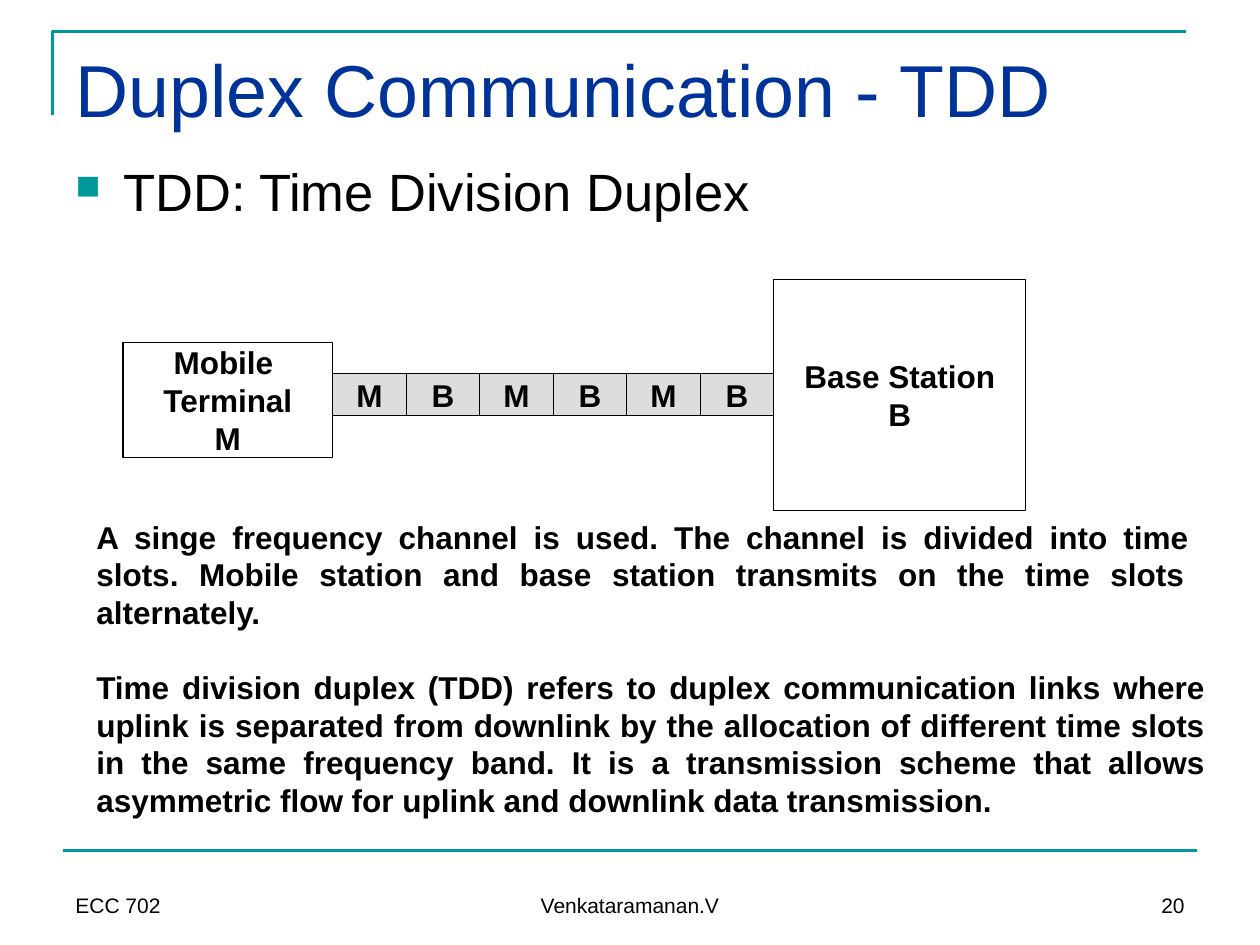
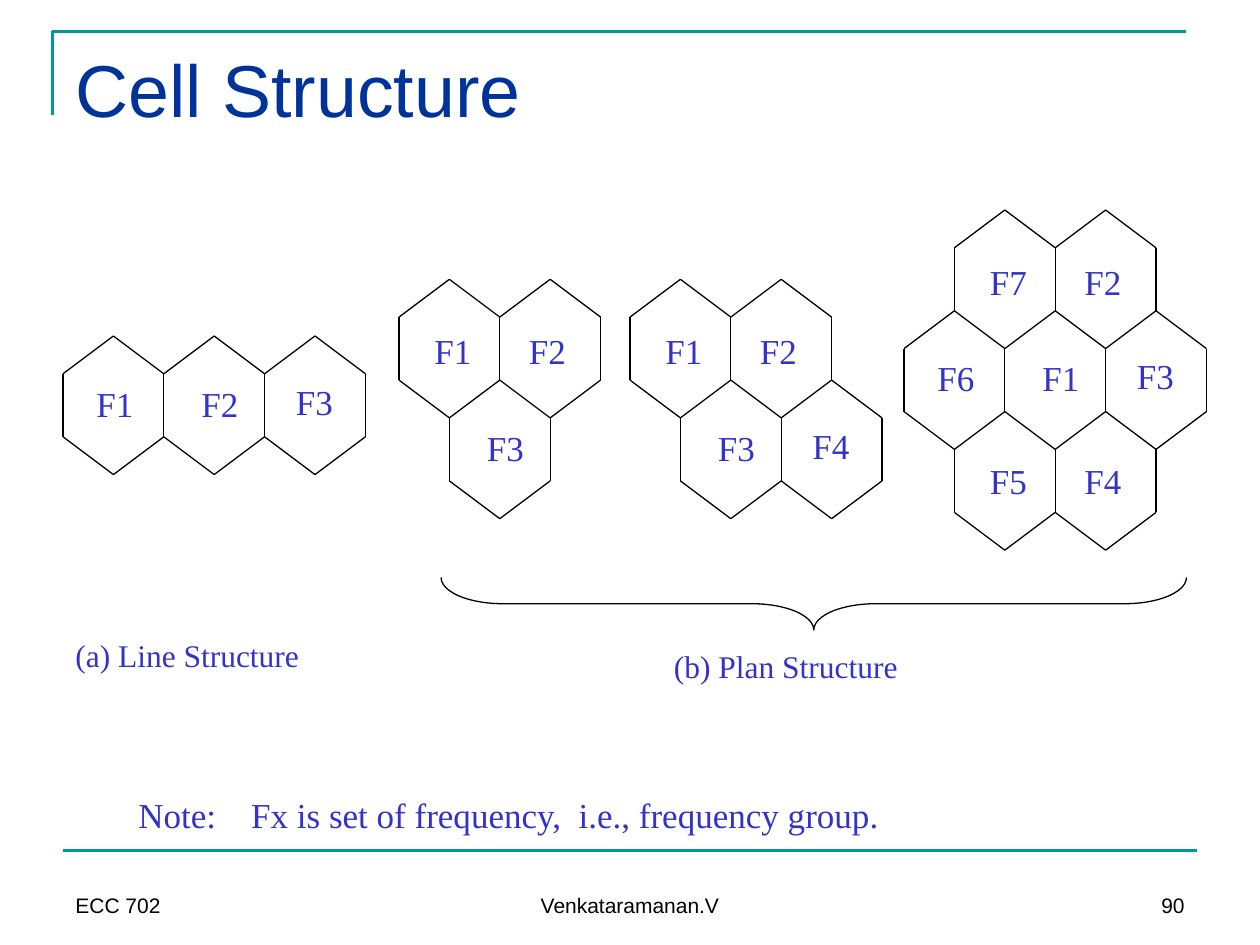
"""Build two lecture slides: time division duplex and cell structure."""
from dataclasses import dataclass

from lxml.etree import SubElement
from pptx import Presentation
from pptx.dml.color import RGBColor
from pptx.enum.shapes import MSO_CONNECTOR as Connector, MSO_SHAPE as Shape
from pptx.enum.text import MSO_ANCHOR as Anchor, PP_ALIGN as Align
from pptx.oxml.ns import qn
from pptx.util import Emu, Inches, Pt


@dataclass(frozen=True)
class Theme:
    sans: str = "Arial"
    serif: str = "Times New Roman"
    black: str = "000000"
    white: str = "FFFFFF"
    slot: str = "DDDDDD"
    teal: str = "009999"
    navy: str = "003399"
    violet: str = "3333CC"
    title: int = 42
    bullet: int = 30
    label: int = 20
    body: int = 18
    footer: int = 12
    frame_line: float = 1.5
    thin_line: float = 0.75


theme = Theme()
COLUMNS, ROWS = 120, 90
UNIT = Inches(10) // COLUMNS


def grid(*cells):
    """Turn grid columns and rows into slide lengths."""
    return [Emu(round(cell * UNIT)) for cell in cells]


def write(box, paragraphs, size, colour=theme.black, font=theme.sans, bold=False,
          align=Align.LEFT, anchor=Anchor.TOP, wrap=True, gap=0):
    """Fill a box with paragraphs, breaking lines at each newline."""
    frame = box.text_frame
    frame.word_wrap, frame.vertical_anchor = wrap, anchor
    for index, text in enumerate(paragraphs):
        para = frame.add_paragraph() if index else frame.paragraphs[0]
        para.alignment = align
        para.space_before = Pt(gap if index else 0)
        for number, line in enumerate(text.split("\n")):
            if number:
                para.add_line_break()
            span = para.add_run()
            span.text = line
            span.font.name, span.font.size, span.font.bold = font, Pt(size), bold
            span.font.color.rgb = RGBColor.from_string(colour)


deck = Presentation()
deck.slide_width, deck.slide_height = grid(COLUMNS, ROWS)
title_only = deck.slide_layouts[5]
pages, strokes = [], []

for heading, number in (("Duplex Communication - TDD", "20"), ("Cell Structure", "90")):
    page = deck.slides.add_slide(title_only)
    pages.append(page)
    builder = page.shapes.build_freeform(5, 11, scale=UNIT)
    builder.add_line_segments([(5, 3), (113, 3)], close=False)
    corner = builder.convert_to_shape()
    corner.shadow.inherit = False
    corner.fill.background()
    corner.line.color.rgb = RGBColor.from_string(theme.teal)
    corner.line.width = Pt(theme.frame_line)
    strokes.append((page, (6, 81, 114, 81), theme.teal, theme.frame_line))

    title = page.shapes.title
    title.left, title.top, title.width, title.height = grid(6, 3.6, 108, 15)
    write(title, [heading], theme.title, theme.navy)
    for left, width, text, align in ((6, 28, "ECC 702", Align.LEFT),
                                     (41, 38, "Venkataramanan.V", Align.CENTER),
                                     (86, 28, number, Align.RIGHT)):
        footer = page.shapes.add_textbox(*grid(left, 82, width, 6))
        write(footer, [text], theme.footer, align=align, anchor=Anchor.BOTTOM)

duplex, cells_page = pages

topic = duplex.shapes.add_textbox(*grid(6, 14.6, 108, 10))
write(topic, ["TDD: Time Division Duplex"], theme.bullet)
properties = topic.text_frame.paragraphs[0]._p.get_or_add_pPr()
properties.set("marL", str(Inches(0.38)))
properties.set("indent", str(-Inches(0.38)))
bullet_colour = SubElement(properties, qn("a:buClr"))
SubElement(bullet_colour, qn("a:srgbClr")).set("val", theme.teal)
SubElement(properties, qn("a:buSzPct")).set("val", "65000")
SubElement(properties, qn("a:buChar")).set("char", "■")

explanation = duplex.shapes.add_textbox(*grid(8, 48.7, 108, 34))
write(explanation, [
    "A singe frequency channel is used. The channel is divided into time \n"
    "slots. Mobile station and base station transmits on the time slots \n"
    "alternately. ",
    "Time division duplex (TDD) refers to duplex communication links where uplink is "
    "separated from downlink by the allocation of different time slots in the same "
    "frequency band. It is a transmission scheme that allows asymmetric flow for uplink "
    "and downlink data transmission.",
], theme.body, bold=True, align=Align.JUSTIFY, gap=21)

stations = [((73.7, 26.6, 24, 22), theme.white, ["Base Station", "B"]),
            ((11.7, 32.6, 20, 11), theme.white, ["Mobile \nTerminal", "M"])]
slots = [((31.7 + 7 * index, 35.6, 7, 4), theme.slot, [sender])
         for index, sender in enumerate("MBMBMB")]
for place, colour, lines in stations + slots:
    block = duplex.shapes.add_shape(Shape.RECTANGLE, *grid(*place))
    block.shadow.inherit = False
    block.fill.solid()
    block.fill.fore_color.rgb = RGBColor.from_string(colour)
    block.line.color.rgb = RGBColor.from_string(theme.black)
    block.line.width = Pt(theme.thin_line)
    write(block, lines, theme.body, bold=True, align=Align.CENTER,
          anchor=Anchor.MIDDLE, wrap=False)

HALF_CELL, STEP, ROW_STEPS = 4.8, 1.2, 8
HEXAGON = [(0, 3), (1, 0), (2, 3), (2, 8), (1, 11), (0, 8)]
clusters = [
    (6, 32, [("F1", 0, 0, 2, 3.8), ("F2", 2, 0, 2.4, 3.8), ("F3", 4, 0, 1.8, 3.6)]),
    (38, 26.6, [("F1", 0, 0, 2.2, 4.2), ("F2", 2, 0, 1.6, 4.2), ("F3", 1, 1, 2.4, 3.8)]),
    (60, 26.6, [("F1", 0, 0, 2.2, 4.2), ("F2", 2, 0, 1.6, 4.2), ("F3", 1, 1, 2.4, 3.8),
                ("F4", 3, 1, 1.8, 3.6)]),
    (86.1, 20, [("F7", 1, 0, 2.2, 4.2), ("F2", 3, 0, 1.6, 4.2), ("F6", 0, 1, 2, 3.8),
                ("F1", 2, 1, 2.4, 3.8), ("F3", 4, 1, 1.8, 3.6), ("F5", 1, 2, 2.2, 4),
                ("F4", 3, 2, 1.6, 4)]),
]
for left, top, cells in clusters:
    edges = set()
    for name, column, row, label_x, label_y in cells:
        corners = [(column + x, row * ROW_STEPS + y) for x, y in HEXAGON]
        edges.update(tuple(sorted(edge)) for edge in zip(corners, corners[1:] + corners[:1]))
        label = cells_page.shapes.add_textbox(*grid(
            left + column * HALF_CELL + label_x,
            top + row * ROW_STEPS * STEP + label_y, 7, 5.2))
        write(label, [name], theme.label, theme.violet, theme.serif)
    for (x1, y1), (x2, y2) in sorted(edges):
        ends = (left + x1 * HALF_CELL, top + y1 * STEP, left + x2 * HALF_CELL, top + y2 * STEP)
        strokes.append((cells_page, ends, theme.black, theme.thin_line))

for place, text, size in (
        ((6, 60, 31, 6), "(a) Line Structure", theme.body),
        ((63, 61, 35, 6), "(b) Plan Structure", theme.body),
        ((12, 75, 92, 5.2), "Note:    Fx is set of frequency,  i.e., frequency group.",
         theme.label)):
    caption = cells_page.shapes.add_textbox(*grid(*place))
    write(caption, [text], size, theme.violet, theme.serif)

brace = cells_page.shapes.add_shape(Shape.RIGHT_BRACE, *grid(75, 22, 5, 71))
brace.rotation = 90
brace.adjustments[0], brace.adjustments[1] = 1.18, 0.5
brace.shadow.inherit = False
brace.fill.background()
brace.line.color.rgb = RGBColor.from_string(theme.black)
brace.line.width = Pt(theme.thin_line)

for page, ends, colour, weight in strokes:
    stroke = page.shapes.add_connector(Connector.STRAIGHT, *grid(*ends))
    stroke.line.color.rgb = RGBColor.from_string(colour)
    stroke.line.width = Pt(weight)
    SubElement(stroke._element.spPr, qn("a:effectLst"))

deck.save("out.pptx")
